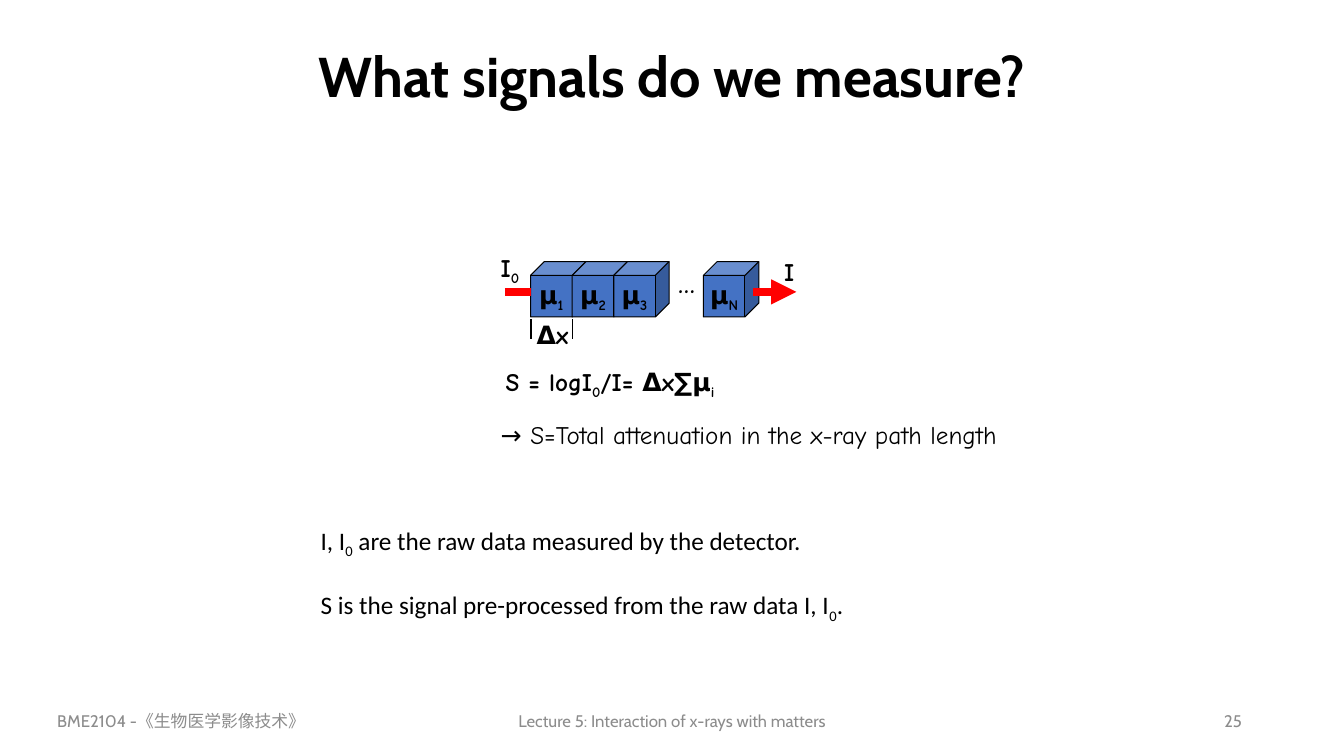
from dataclasses import dataclass

import pptx
import pptx.dml.color
import pptx.enum.shapes
import pptx.enum.text
import pptx.oxml.ns
import pptx.util
from lxml import etree

Pt = pptx.util.Pt
Align = pptx.enum.text.PP_ALIGN
Anchor = pptx.enum.text.MSO_ANCHOR

BLACK, RED, BLUE, GRAY = "000000", "FF0000", "4472C4", "8C8C8C"
CUBE_SIZE, CUBE_DEPTH, CUBE_TOP = 39.6, 0.25, 186.8
CUBE_STEP = CUBE_SIZE * (1 - CUBE_DEPTH)
FIRST_CUBE, LAST_CUBE = 379, 502.4
BEAM_Y = 208.5


@dataclass
class Style:
    font: str
    size: float = 18
    color: str = BLACK
    bold: bool = False
    align: Align = Align.LEFT


@dataclass
class Label:
    """Text in a box; an underscore makes the next character a subscript."""
    text: str
    left: float
    top: float
    width: float
    height: float
    style: Style
    grows: bool = True
    line_spacing: float | None = None
    gap: float = 0


@dataclass
class Cube:
    left: float
    text: str


@dataclass
class Line:
    start: tuple[float, float]
    end: tuple[float, float]
    color: str
    width: float
    arrow: bool = False


TITLE = Style("Cabin", 40, bold=True, align=Align.CENTER)
SYMBOL = Style("Comic Neue", bold=True)
SYMBOL_CENTER = Style("Comic Neue", bold=True, align=Align.CENTER)
PLAIN = Style("Comic Neue")
BODY = Style("Calibri")


def footer_style(align: Align) -> Style:
    return Style("Cabin", 12, GRAY, align=align)


def rgb(value: str) -> pptx.dml.color.RGBColor:
    return pptx.dml.color.RGBColor.from_string(value)


def write_paragraph(para, text: str, style: Style) -> None:
    para.alignment = style.align
    first, *rest = text.split("_")
    pieces = [(first, False)]
    for part in rest:
        pieces += [(part[0], True), (part[1:], False)]
    for piece, is_subscript in pieces:
        if not piece:
            continue
        span = para.add_run()
        span.text = piece
        span.font.name = style.font
        span.font.size = Pt(style.size)
        span.font.bold = style.bold
        span.font.color.rgb = rgb(style.color)
        if is_subscript:
            span._r.get_or_add_rPr().set("baseline", "-25000")


def draw_label(shapes, label: Label) -> None:
    box = shapes.add_textbox(Pt(label.left), Pt(label.top), Pt(label.width), Pt(label.height))
    frame = box.text_frame
    frame.word_wrap = not label.grows
    if label.grows:
        frame.auto_size = pptx.enum.text.MSO_AUTO_SIZE.SHAPE_TO_FIT_TEXT
    else:
        frame.vertical_anchor = Anchor.MIDDLE
    for index, text in enumerate(label.text.split("\n")):
        para = frame.add_paragraph() if index else frame.paragraphs[0]
        if index:
            para.space_before = Pt(label.gap)
        if label.line_spacing:
            para.line_spacing = label.line_spacing
        write_paragraph(para, text, label.style)


def draw_cube(shapes, cube: Cube) -> None:
    shape = shapes.add_shape(pptx.enum.shapes.MSO_SHAPE.CUBE, Pt(cube.left), Pt(CUBE_TOP),
                             Pt(CUBE_SIZE), Pt(CUBE_SIZE))
    shape.adjustments[0] = CUBE_DEPTH
    shape.shadow.inherit = False
    shape.fill.solid()
    shape.fill.fore_color.rgb = rgb(BLUE)
    shape.line.color.rgb = rgb(BLACK)
    shape.line.width = Pt(0.75)
    shape.text_frame.word_wrap = False
    shape.text_frame.vertical_anchor = Anchor.MIDDLE
    write_paragraph(shape.text_frame.paragraphs[0], cube.text, SYMBOL_CENTER)


def draw_line(shapes, line: Line) -> None:
    connector = shapes.add_connector(pptx.enum.shapes.MSO_CONNECTOR.STRAIGHT,
                                     *map(Pt, line.start + line.end))
    connector.line.color.rgb = rgb(line.color)
    connector.line.width = Pt(line.width)
    properties = connector._element.spPr
    if line.arrow:
        outline = properties.find(pptx.oxml.ns.qn("a:ln"))
        etree.SubElement(outline, pptx.oxml.ns.qn("a:tailEnd"), type="triangle")
    etree.SubElement(properties, pptx.oxml.ns.qn("a:effectLst"))


PAGE_LABELS = [
    Label("What signals do we measure?", 66, 28.8, 828, 56.2, TITLE, False, 0.9),
    Label("BME2104 -《生物医学影像技术》", 33.8, 500.4, 262.8, 28.8,
          footer_style(Align.LEFT), False),
    Label("Lecture 5: Interaction of x-rays with matters", 318.2, 500.4, 324, 28.8,
          footer_style(Align.CENTER), False),
    Label("25", 678.2, 500.4, 216, 28.8, footer_style(Align.RIGHT), False),
    Label("S = logI_0/I= Δx∑μ_i", 354.2, 257.8, 182.2, 28.8, SYMBOL),
    Label("→ S=Total attenuation in the x-ray path length", 350.6, 295.9, 414.7, 28.8, PLAIN),
    Label("I, I_0 are the raw data measured by the detector.\n"
          "S is the signal pre-processed from the raw data I, I_0.",
          222, 371.5, 396, 72.7, BODY, gap=21.5),
]

DIAGRAM_LABELS = [
    Label("Δx", 364.6, 224.6, 60, 28.8, SYMBOL_CENTER),
    Label("I_0", 350.6, 176.4, 31.7, 28.8, SYMBOL),
    Label("…", 477.4, 187.9, 26.6, 28.8, SYMBOL),
    Label("I", 553, 179.6, 24.5, 28.8, SYMBOL),
]

CUBES = [Cube(FIRST_CUBE + index * CUBE_STEP, f"μ_{index + 1}") for index in range(3)]
CUBES.append(Cube(LAST_CUBE, "μ_N"))

WIDTH_MARKS = [Line((x, 228), (x, 242.4), BLACK, 1)
               for x in (FIRST_CUBE + 0.2, FIRST_CUBE + 0.2 + CUBE_STEP)]
BEAM_IN = Line((360.7, BEAM_Y), (FIRST_CUBE, BEAM_Y), RED, 6)
BEAM_OUT = Line((537.8, BEAM_Y), (568.8, BEAM_Y), RED, 6, arrow=True)


def main() -> None:
    deck = pptx.Presentation()
    deck.slide_width, deck.slide_height = Pt(960), Pt(540)
    page = deck.slides.add_slide(deck.slide_layouts[6])

    # Title, footer and explanations
    for label in PAGE_LABELS:
        draw_label(page.shapes, label)

    # Attenuation diagram: beam passing through a row of cubes
    diagram = page.shapes.add_group_shape().shapes
    for cube in CUBES:
        draw_cube(diagram, cube)
    for line in [BEAM_IN, *WIDTH_MARKS, BEAM_OUT]:
        draw_line(diagram, line)
    for label in DIAGRAM_LABELS:
        draw_label(diagram, label)

    deck.save("out.pptx")


if __name__ == "__main__":
    main()
